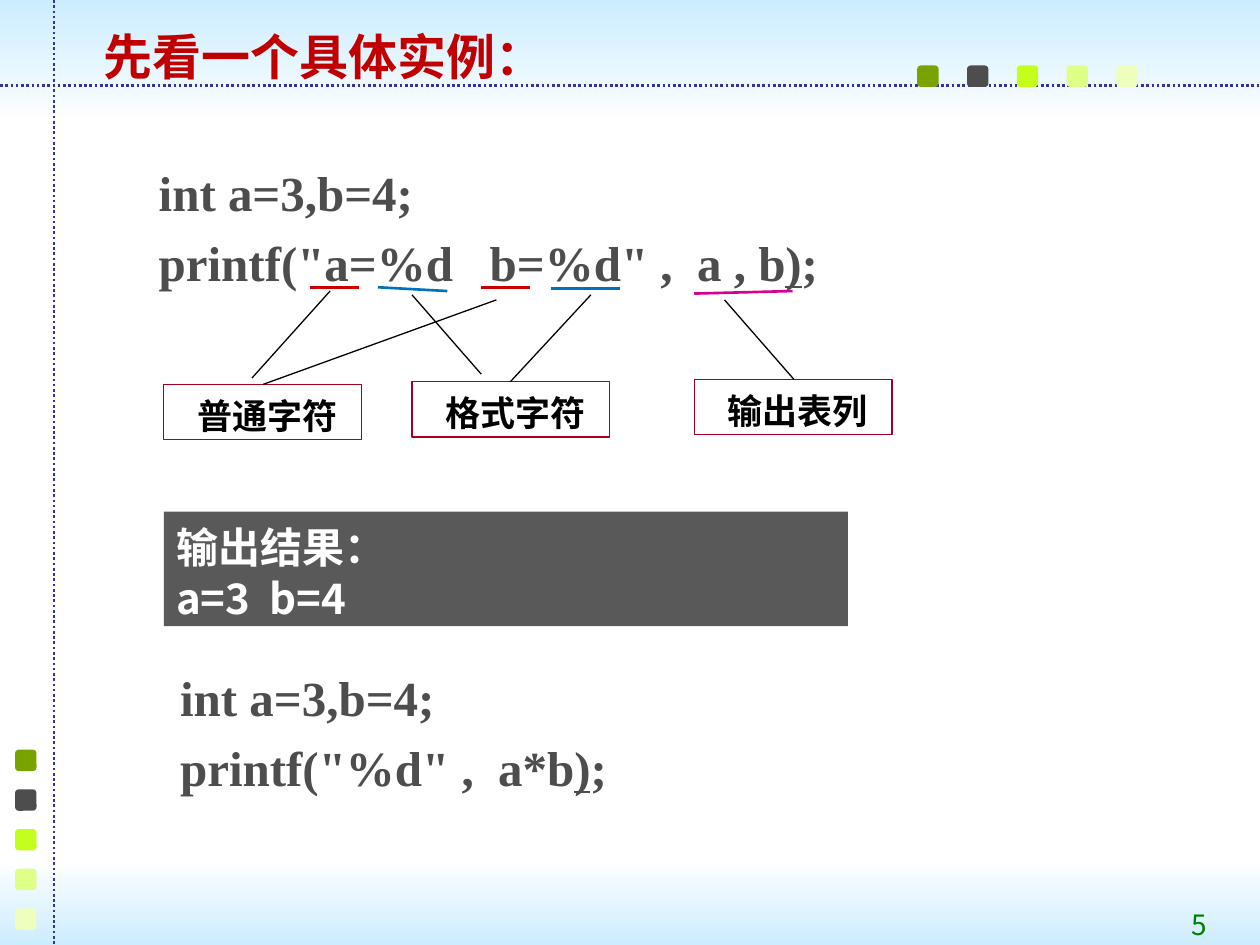
from pptx import Presentation
from pptx import util as u
from pptx.dml.color import RGBColor
from pptx.enum import dml, shapes, text
from pptx.oxml.ns import qn
from lxml import etree

SKY = RGBColor(0xCC, 0xEC, 0xFF)
WHITE = RGBColor(0xFF, 0xFF, 0xFF)
BLACK = RGBColor(0, 0, 0)
GRAY = RGBColor(0x4D, 0x4D, 0x4D)
DARK = RGBColor(0x59, 0x59, 0x59)
NAVY = RGBColor(0x33, 0x33, 0x99)
RED = RGBColor(0xCC, 0, 0)
CRIMSON = RGBColor(0xC0, 0, 0)
WINE = RGBColor(0xA5, 0, 0x21)
BLUE = RGBColor(0, 0x70, 0xC0)
PINK = RGBColor(0xD6, 0, 0x93)
GREEN = RGBColor(0, 0x80, 0)
DOTS = [RGBColor(0x78, 0xA2, 0), GRAY, RGBColor(0xC3, 0xFF, 0x1B),
        RGBColor(0xE0, 0xFF, 0x87), RGBColor(0xEE, 0xFF, 0xBD)]
SANS, SERIF = "Noto Sans CJK SC", "Times New Roman"
LEFT, MID, RIGHT = text.PP_ALIGN.LEFT, text.PP_ALIGN.CENTER, text.PP_ALIGN.RIGHT
KIND = shapes.MSO_SHAPE


class Deck:
    def __init__(self):
        self.prs = Presentation()
        self.prs.slide_width, self.prs.slide_height = u.Inches(10), u.Inches(7.5)
        self.slide = self.prs.slides.add_slide(self.prs.slide_layouts[5])
        self.items = self.slide.shapes

    def shape(self, at, fill=None, line=None, kind=KIND.RECTANGLE):
        box = self.items.add_shape(kind, *map(u.Inches, at))
        box.shadow.inherit = False
        if fill is None:
            box.fill.background()
        else:
            box.fill.solid()
            box.fill.fore_color.rgb = fill
        if line is None:
            box.line.fill.background()
        else:
            box.line.color.rgb = line
            box.line.width = u.Pt(0.75)
        return box

    def band(self, at, top, base):
        fill = self.shape(at).fill
        fill.gradient()
        fill.gradient_angle = 270
        for stop, color, pos in zip(fill.gradient_stops, (top, base), (0, 1)):
            stop.color.rgb, stop.position = color, pos

    def line(self, ends, color=BLACK, width=0.75, dash=None):
        link = self.items.add_connector(shapes.MSO_CONNECTOR.STRAIGHT, *map(u.Inches, ends))
        link.line.color.rgb = color
        link.line.width = u.Pt(width)
        if dash:
            link.line.dash_style = dash
        etree.SubElement(link._element.spPr, qn("a:effectLst"))

    def text(self, box, paras, size, color, font=SANS, bold=True, align=LEFT,
             left=0.1, top=0.05, before=0, pitch=None, anchor=text.MSO_ANCHOR.TOP):
        """Each paragraph is a list of (words, underlined) runs."""
        frame = box.text_frame
        frame.word_wrap = True
        frame.auto_size = text.MSO_AUTO_SIZE.NONE
        frame.vertical_anchor = anchor
        frame.margin_left, frame.margin_top = u.Inches(left), u.Inches(top)
        frame.margin_right, frame.margin_bottom = u.Inches(0.1), u.Inches(0.02)
        for n, runs in enumerate(paras):
            para = frame.add_paragraph() if n else frame.paragraphs[0]
            para.alignment = align
            para.space_before = u.Pt(before)
            if pitch:
                para.line_spacing = u.Pt(pitch)
            for words, under in runs:
                run = para.add_run()
                run.text = words
                face = run.font
                face.name, face.size, face.bold = font, u.Pt(size), bold
                face.color.rgb = color
                if under:
                    face.underline = True
                east = etree.SubElement(run._r.get_or_add_rPr(), qn("a:ea"))
                east.set("typeface", font)

    def note(self, at):
        return self.items.add_textbox(*map(u.Inches, at))

    def code(self, x, y, call):
        self.text(self.note((x, y, 7.91, 1.58)),
                  [[("int a=3,b=4;", False)],
                   [(call, False), (")", True), (";", False)]],
                  28, GRAY, SERIF, left=0.2, before=6.4)

    def title(self, words, at):
        box = self.items.title
        box.left, box.top, box.width, box.height = map(u.Inches, at)
        self.items._spTree.append(box._element)  # in front of the band
        self.text(box, [[(words, False)]], 28, CRIMSON, align=MID, top=0.08, pitch=33.6)


deck = Deck()

# Bands, dotted rules and rows of squares
deck.band((0, 0, 10, 0.99), SKY, WHITE)
deck.band((0, 6.82, 10, 0.68), WHITE, SKY)
for ends in ((0, 0.68, 10, 0.68), (0.43, 0, 0.43, 7.5)):
    deck.line(ends, NAVY, 1.5, dml.MSO_LINE.ROUND_DOT)
for n, color in enumerate(DOTS):
    for x, y in ((7.28 + 0.395 * n, 0.52), (0.12, 5.95 + 0.315 * n)):
        deck.shape((x, y, 0.17, 0.17), color, kind=KIND.ROUNDED_RECTANGLE)

# Title and page number
deck.title("先看一个具体实例：", (0.6, 0.13, 3.94, 0.57))
deck.text(deck.note((7.05, 7.14, 2.63, 0.36)), [[("5", False)]], 16, GREEN,
          bold=False, align=RIGHT, anchor=text.MSO_ANCHOR.MIDDLE)

# Code samples
deck.code(1.06, 1.24, 'printf("a=%d   b=%d" ,  a , b')
deck.code(1.23, 5.25, 'printf("%d" ,  a*b')

# Marks under the parts of the call
for ends, color in (((2.46, 2.28, 2.85, 2.28), RED), ((3.82, 2.28, 4.21, 2.28), RED),
                    ((3, 2.28, 3.55, 2.31), BLUE), ((4.37, 2.29, 4.92, 2.29), BLUE),
                    ((5.51, 2.33, 6.29, 2.31), PINK)):
    deck.line(ends, color, 1.5)

# Labels with their leader lines
for words, x, y, leads in (
        ("普通字符", 1.3, 3.05, [(2.62, 2.31, 2, 3), (3.94, 2.38, 2.09, 3.05)]),
        ("格式字符", 3.27, 3.03, [(3.27, 2.34, 3.82, 2.97), (4.69, 2.34, 4.05, 3.03)]),
        ("输出表列", 5.51, 3.01, [(5.75, 2.38, 6.3, 3.01)])):
    deck.text(deck.shape((x, y, 1.57, 0.44), line=WINE), [[(words, False)]], 20, BLACK,
              align=MID, left=0.17, top=0.08, pitch=24)
    for ends in leads:
        deck.line(ends)

# Printed result
deck.text(deck.shape((1.3, 4.06, 5.43, 0.91), DARK),
          [[("输出结果：", False)], [("a=3  b=4", False)]], 24, WHITE, top=0.08, pitch=28.8)

deck.prs.save("out.pptx")
